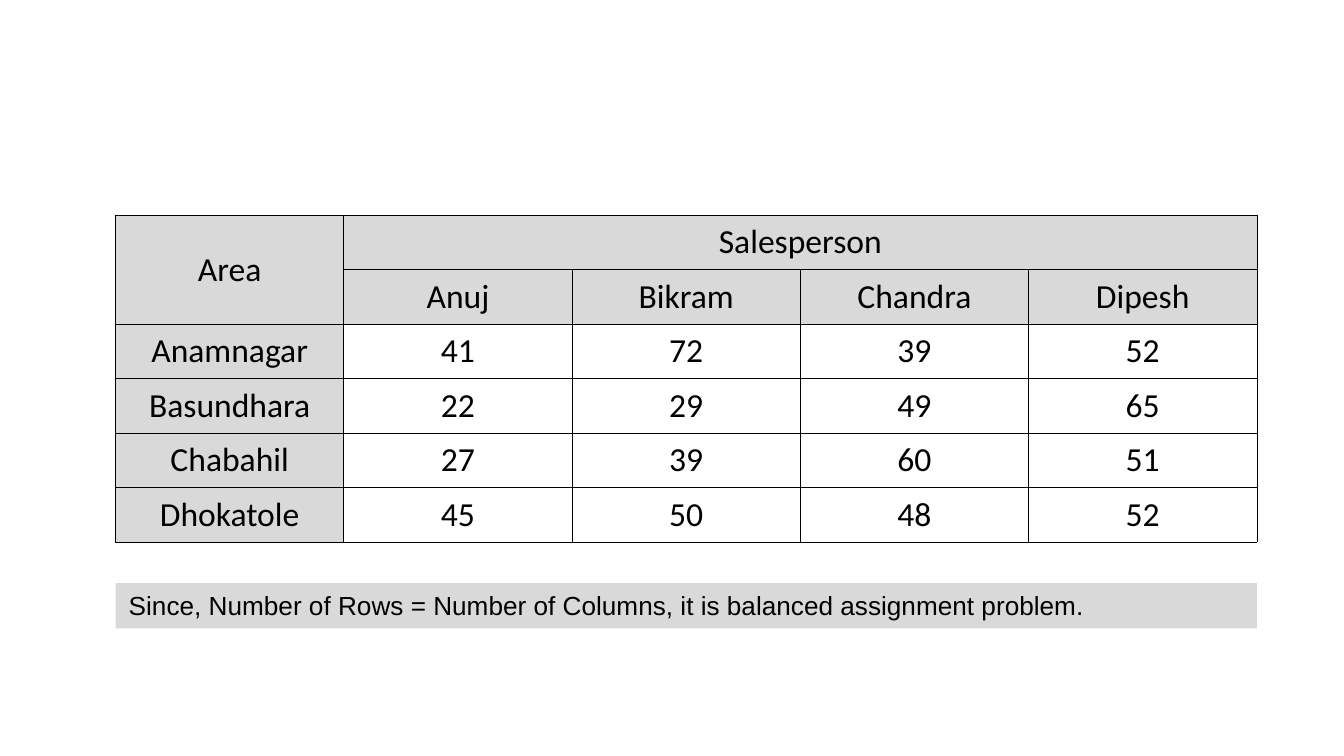
from lxml import etree
from pptx import Presentation
from pptx import util as u
from pptx.dml.color import RGBColor
from pptx.enum import shapes, text
from pptx.oxml.ns import qn

# Content: None marks a cell covered by a merge
ROWS = [
    ["Area", "Salesperson", None, None, None],
    [None, "Anuj", "Bikram", "Chandra", "Dipesh"],
    ["Anamnagar", "41", "72", "39", "52"],
    ["Basundhara", "22", "29", "49", "65"],
    ["Chabahil", "27", "39", "60", "51"],
    ["Dhokatole", "45", "50", "48", "52"],
]
HEADER_ROWS = 2
NOTE = "Since, Number of Rows = Number of Columns, it is balanced assignment problem."

THEME = {
    "ink": "000000", "shade": "D9D9D9",
    "table_font": "Calibri", "table_size": 18,
    "note_font": "Arial", "note_size": 14,
    "border": 0.45,
}
LEFT, WIDTH = 61.9, 611.5
TABLE_TOP, TABLE_H = 115.2, 175.2
NOTE_TOP, NOTE_H = 312.5, 24.2


def write(tf, content, font, size, align=text.PP_ALIGN.LEFT):
    p = tf.paragraphs[0]
    p.alignment = align
    r = p.add_run()
    r.text = content
    r.font.name, r.font.size = font, u.Pt(size)
    r.font.color.rgb = RGBColor.from_string(THEME["ink"])


def add_borders(cell):
    tcPr = cell._tc.get_or_add_tcPr()
    for i, side in enumerate(("lnL", "lnR", "lnT", "lnB")):
        ln = etree.Element(qn(f"a:{side}"), w=str(u.Pt(THEME["border"])))
        fill = etree.SubElement(ln, qn("a:solidFill"))
        etree.SubElement(fill, qn("a:srgbClr"), val=THEME["ink"])
        tcPr.insert(i, ln)  # borders come before the fill


prs = Presentation()
prs.slide_width, prs.slide_height = u.Pt(720), u.Pt(405)
s = prs.slides.add_slide(prs.slide_layouts[6])

# Assignment table
n_rows, n_cols = len(ROWS), len(ROWS[0])
table = s.shapes.add_table(n_rows, n_cols, u.Pt(LEFT), u.Pt(TABLE_TOP),
                           u.Pt(WIDTH), u.Pt(TABLE_H)).table
table.first_row = table.horz_banding = False
for col in table.columns:
    col.width = u.Pt(WIDTH / n_cols)
for row in table.rows:
    row.height = u.Pt(TABLE_H / n_rows)
table.cell(0, 0).merge(table.cell(HEADER_ROWS - 1, 0))
table.cell(0, 1).merge(table.cell(0, n_cols - 1))

for i, row in enumerate(ROWS):
    for j, label in enumerate(row):
        cell = table.cell(i, j)
        cell.margin_top = cell.margin_bottom = 0
        cell.vertical_anchor = text.MSO_ANCHOR.MIDDLE
        if i < HEADER_ROWS or j == 0:
            cell.fill.solid()
            cell.fill.fore_color.rgb = RGBColor.from_string(THEME["shade"])
        else:
            cell.fill.background()
        add_borders(cell)
        if label:
            write(cell.text_frame, label, THEME["table_font"],
                  THEME["table_size"], text.PP_ALIGN.CENTER)

# Conclusion bar
sp = s.shapes.add_shape(shapes.MSO_SHAPE.RECTANGLE, u.Pt(LEFT), u.Pt(NOTE_TOP),
                        u.Pt(WIDTH), u.Pt(NOTE_H))
sp.shadow.inherit = False
sp.fill.solid()
sp.fill.fore_color.rgb = RGBColor.from_string(THEME["shade"])
sp.line.fill.background()
tf = sp.text_frame
tf.word_wrap = True
tf.auto_size = text.MSO_AUTO_SIZE.SHAPE_TO_FIT_TEXT
tf.vertical_anchor = text.MSO_ANCHOR.TOP
write(tf, NOTE, THEME["note_font"], THEME["note_size"])

prs.save("out.pptx")
